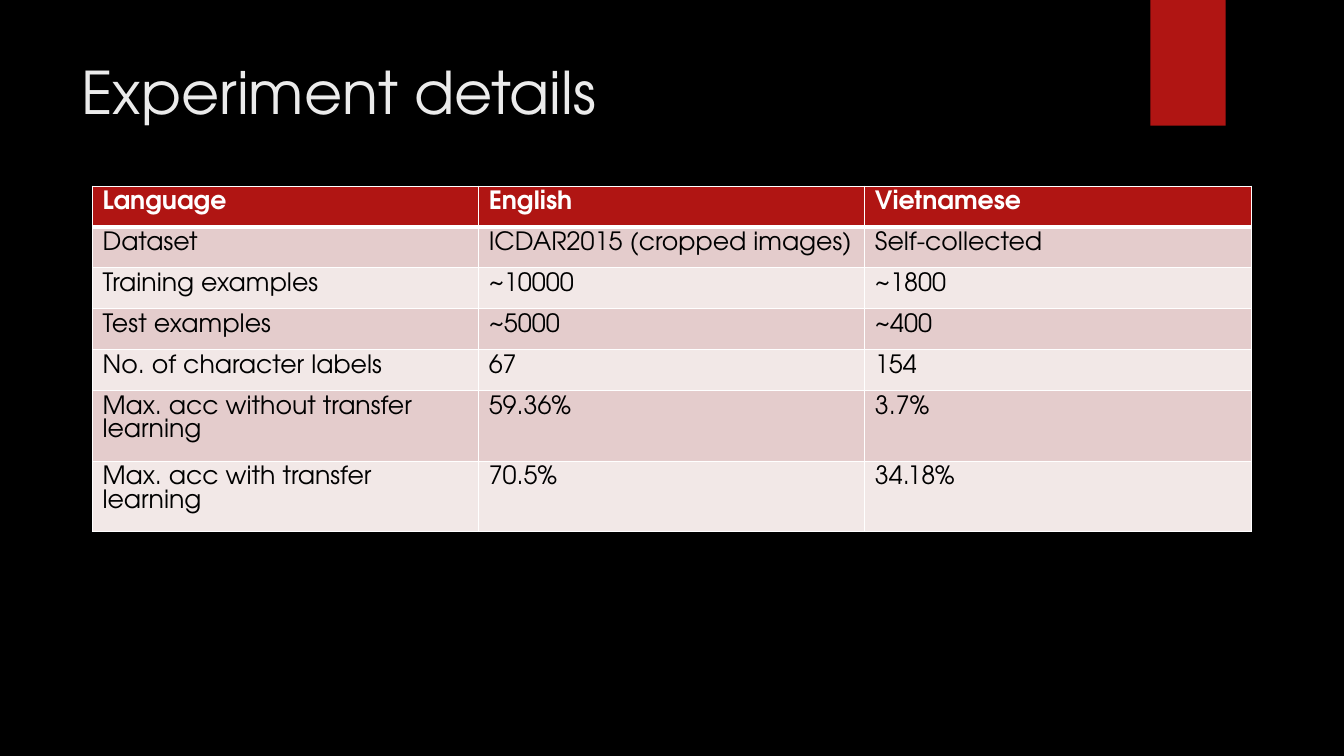
from lxml.etree import SubElement
from pptx import Presentation
from pptx.dml.color import RGBColor
from pptx.enum.shapes import MSO_SHAPE
from pptx.enum.text import MSO_ANCHOR
from pptx.oxml.ns import qn
from pptx.util import Cm, Pt

FONT = "TeX Gyre Adventor"
BLACK = RGBColor(0x00, 0x00, 0x00)
WHITE = RGBColor(0xFF, 0xFF, 0xFF)
RED = RGBColor(0xB0, 0x15, 0x13)
TITLE_GREY = RGBColor(0xEB, 0xEB, 0xEB)
DARK_BAND = RGBColor(0xE4, 0xCC, 0xCC)
LIGHT_BAND = RGBColor(0xF2, 0xE8, 0xE7)

EXPERIMENTS = [
    ("Language", "English", "Vietnamese"),
    ("Dataset", "ICDAR2015 (cropped images)", "Self-collected"),
    ("Training examples", "~10000", "~1800"),
    ("Test examples", "~5000", "~400"),
    ("No. of character labels", "67", "154"),
    ("Max. acc without transfer learning", "59.36%", "3.7%"),
    ("Max. acc with transfer learning", "70.5%", "34.18%"),
]


def style_font(font, size, color, bold=False):
    font.name = FONT
    font.size = Pt(size)
    font.bold = bold
    font.color.rgb = color


def add_ribbon(page, left, top, width, height):
    ribbon = page.shapes.add_shape(MSO_SHAPE.RECTANGLE, left, top, width, height)
    ribbon.shadow.inherit = False
    ribbon.fill.solid()
    ribbon.fill.fore_color.rgb = RED
    ribbon.line.fill.background()


def add_title(page, text, left, top, width, height):
    box = page.shapes.add_textbox(left, top, width, height)
    frame = box.text_frame
    frame.word_wrap = True
    frame.vertical_anchor = MSO_ANCHOR.TOP
    para = frame.paragraphs[0]
    para.text = text
    style_font(para.font, 42, TITLE_GREY)


def set_borders(cell, widths):
    """Draw white borders; widths maps each side's tag to points."""
    properties = cell._tc.get_or_add_tcPr()
    for position, (side, width) in enumerate(widths.items()):
        line = SubElement(properties, qn(f"a:{side}"), w=str(Pt(width)))
        properties.insert(position, line)
        fill = SubElement(line, qn("a:solidFill"))
        SubElement(fill, qn("a:srgbClr"), val=str(WHITE))


def add_experiment_table(page, rows, left, top, width, row_height):
    frame = page.shapes.add_table(
        len(rows), len(rows[0]), left, top, width, row_height * len(rows))
    table = frame.table
    for row_index, values in enumerate(rows):
        header = row_index == 0
        band = RED if header else DARK_BAND if row_index % 2 else LIGHT_BAND
        borders = {"lnL": 1, "lnR": 1,
                   "lnT": 3 if row_index == 1 else 1,
                   "lnB": 3 if header else 1}
        for column_index, value in enumerate(values):
            cell = table.cell(row_index, column_index)
            cell.text = value
            cell.fill.solid()
            cell.fill.fore_color.rgb = band
            style_font(cell.text_frame.paragraphs[0].font, 18,
                       WHITE if header else BLACK, header)
            set_borders(cell, borders)


def build_experiment_slide(deck):
    page = deck.slides.add_slide(deck.slide_layouts[6])
    page.background.fill.solid()
    page.background.fill.fore_color.rgb = BLACK
    add_ribbon(page, Cm(28.99), Cm(0), Cm(1.9), Cm(3.17))
    add_title(page, "Experiment details", Cm(1.8), Cm(1.27), Cm(26.14), Cm(3.89))
    add_experiment_table(page, EXPERIMENTS, Cm(2.33), Cm(4.69), Cm(29.2), Cm(1.03))


def main():
    deck = Presentation()
    deck.slide_width = Cm(33.87)
    deck.slide_height = Cm(19.05)
    build_experiment_slide(deck)
    deck.save("out.pptx")


if __name__ == "__main__":
    main()
